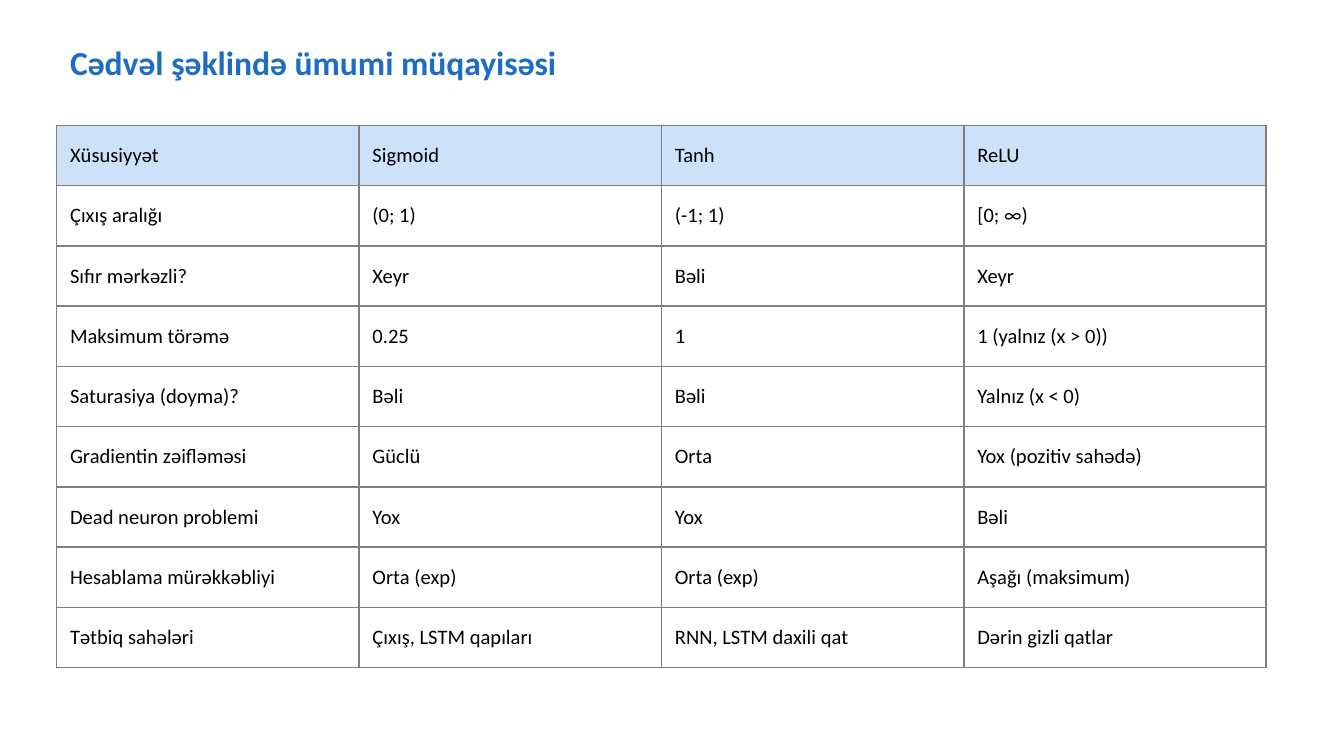
from dataclasses import dataclass

from lxml import etree
from pptx import Presentation
from pptx.dml.color import RGBColor
from pptx.enum.text import MSO_ANCHOR, MSO_AUTO_SIZE, PP_ALIGN
from pptx.oxml.ns import qn
from pptx.slide import Slide
from pptx.table import _Cell
from pptx.text.text import TextFrame
from pptx.util import Cm, Pt

MIDDLE = MSO_ANCHOR.MIDDLE
TOP = MSO_ANCHOR.TOP
LEFT = PP_ALIGN.LEFT
NO_AUTO_SIZE = MSO_AUTO_SIZE.NONE
TITLE_ONLY_LAYOUT = 5
BORDER_TAGS = ("a:lnL", "a:lnR", "a:lnT", "a:lnB")


@dataclass(frozen=True)
class Theme:
    font: str = "Calibri"
    title_size: int = 18
    cell_size: int = 11
    border_width: int = 1
    title_color: str = "1D6DC2"
    text_color: str = "000000"
    header_fill: str = "CDE2F8"
    border_color: str = "7F7F7F"
    background: str = "FFFFFF"


@dataclass(frozen=True)
class Comparison:
    feature: str
    sigmoid: str
    tanh: str
    relu: str

    def texts(self) -> tuple[str, ...]:
        return self.feature, self.sigmoid, self.tanh, self.relu


THEME = Theme()
TITLE = "Cədvəl şəklində ümumi müqayisəsi"
COMPARISONS = (
    Comparison("Xüsusiyyət", "Sigmoid", "Tanh", "ReLU"),
    Comparison("Çıxış aralığı", "(0; 1)", "(-1; 1)", "[0; ∞)"),
    Comparison("Sıfır mərkəzli?", "Xeyr", "Bəli", "Xeyr"),
    Comparison("Maksimum törəmə", "0.25", "1", "1 (yalnız (x > 0))"),
    Comparison("Saturasiya (doyma)?", "Bəli", "Bəli", "Yalnız (x < 0)"),
    Comparison("Gradientin zəifləməsi", "Güclü", "Orta", "Yox (pozitiv sahədə)"),
    Comparison("Dead neuron problemi", "Yox", "Yox", "Bəli"),
    Comparison("Hesablama mürəkkəbliyi", "Orta (exp)", "Orta (exp)", "Aşağı (maksimum)"),
    Comparison("Tətbiq sahələri", "Çıxış, LSTM qapıları", "RNN, LSTM daxili qat", "Dərin gizli qatlar"),
)
LEFT_MARGIN = Cm(1.07)
TABLE_TOP = Cm(2.37)
TABLE_WIDTH = Cm(22.86)
ROW_HEIGHT = Cm(1.14)


def add_text(text_frame: TextFrame, text: str, size: int, color: str, bold: bool = False) -> None:
    paragraph = text_frame.paragraphs[0]
    paragraph.alignment = LEFT
    run = paragraph.add_run()
    run.text = text
    run.font.name = THEME.font
    run.font.size = Pt(size)
    run.font.bold = bold
    run.font.color.rgb = RGBColor.from_string(color)


def add_borders(cell: _Cell) -> None:
    properties = cell._tc.get_or_add_tcPr()
    for tag in BORDER_TAGS:
        line = etree.SubElement(properties, qn(tag), w=str(Pt(THEME.border_width)))
        fill = etree.SubElement(line, qn("a:solidFill"))
        etree.SubElement(fill, qn("a:srgbClr"), val=THEME.border_color)


def add_title(slide: Slide) -> None:
    title = slide.shapes.title
    title.left, title.top = LEFT_MARGIN, Cm(0.66)
    title.width, title.height = Cm(16), Cm(1.02)
    title.fill.solid()
    title.fill.fore_color.rgb = RGBColor.from_string(THEME.background)
    text_frame = title.text_frame
    text_frame.word_wrap = True
    text_frame.auto_size = NO_AUTO_SIZE
    text_frame.vertical_anchor = TOP
    add_text(text_frame, TITLE, THEME.title_size, THEME.title_color, bold=True)


def fill_cell(cell: _Cell, text: str, is_header: bool) -> None:
    cell.vertical_anchor = MIDDLE
    add_borders(cell)
    if is_header:
        cell.fill.solid()
        cell.fill.fore_color.rgb = RGBColor.from_string(THEME.header_fill)
    else:
        cell.fill.background()
    add_text(cell.text_frame, text, THEME.cell_size, THEME.text_color)


def add_comparison_table(slide: Slide) -> None:
    row_count = len(COMPARISONS)
    column_count = len(COMPARISONS[0].texts())
    table = slide.shapes.add_table(
        row_count, column_count, LEFT_MARGIN, TABLE_TOP, TABLE_WIDTH, ROW_HEIGHT * row_count
    ).table
    table.first_row = False
    table.horz_banding = False
    for row_index, comparison in enumerate(COMPARISONS):
        for column_index, text in enumerate(comparison.texts()):
            fill_cell(table.cell(row_index, column_index), text, row_index == 0)


def main() -> None:
    presentation = Presentation()
    presentation.slide_width = Cm(25.4)
    presentation.slide_height = Cm(14.29)
    slide = presentation.slides.add_slide(presentation.slide_layouts[TITLE_ONLY_LAYOUT])
    add_title(slide)
    add_comparison_table(slide)
    presentation.save("out.pptx")


if __name__ == "__main__":
    main()
